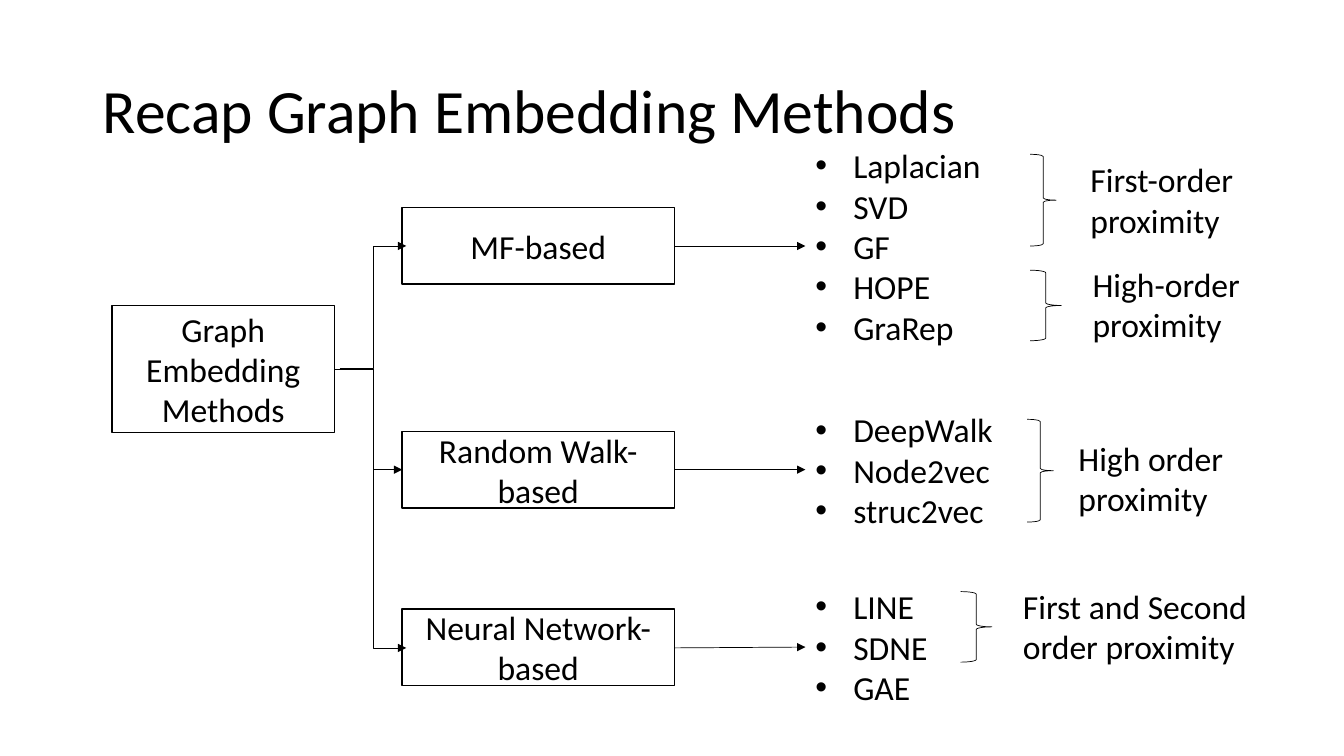
from lxml.etree import SubElement
from pptx import Presentation
from pptx.dml.color import RGBColor
from pptx.enum.shapes import MSO_CONNECTOR as LINK, MSO_SHAPE as SHAPE
from pptx.enum.text import MSO_ANCHOR as ANCHOR, MSO_AUTO_SIZE as AUTO, PP_ALIGN as ALIGN
from pptx.oxml.ns import qn
from pptx.util import Pt

COLORS = {"ink": "000000", "paper": "FFFFFF"}
INK, PAPER = (RGBColor.from_string(COLORS[key]) for key in ("ink", "paper"))


def write(shape, lines, align=ALIGN.LEFT, anchor=ANCHOR.MIDDLE, size=24, spacing=1, bullets=False):
    frame = shape.text_frame
    frame.text = "\n".join(lines)
    for name, value in {"word_wrap": True, "auto_size": AUTO.NONE, "vertical_anchor": anchor}.items():
        setattr(frame, name, value)
    for paragraph in frame.paragraphs:
        layout = {"alignment": align, "line_spacing": spacing, "space_before": Pt(0)}
        for name, value in layout.items():
            setattr(paragraph, name, value)
        if bullets:
            props = paragraph._p.get_or_add_pPr()
            props.set("marL", str(Pt(27)))
            props.set("indent", str(-Pt(27)))
            SubElement(props, qn("a:buFont")).set("typeface", "Arial")
            SubElement(props, qn("a:buChar")).set("char", "•")
        font = paragraph.runs[0].font
        for name, value in {"name": "Calibri", "size": Pt(size), "bold": False}.items():
            setattr(font, name, value)
        font.color.rgb = INK


def draw_arrow(kind, start, end, bend=None):
    """Add a thin arrow; bend is the elbow's share of the width."""
    arrow = slide.shapes.add_connector(kind, *map(Pt, start + end))
    arrow.line.color.rgb = INK
    arrow.line.width = Pt(0.5)
    SubElement(arrow.line._get_or_add_ln(), qn("a:tailEnd")).set("type", "triangle")
    props = arrow._element.spPr
    SubElement(props, qn("a:effectLst"))
    if bend:
        guide = SubElement(props.find(qn("a:prstGeom")).find(qn("a:avLst")), qn("a:gd"))
        guide.set("name", "adj1")
        guide.set("fmla", f"val {round(bend * 100000)}")


deck = Presentation()
deck.slide_width, deck.slide_height = Pt(960), Pt(540)
slide = deck.slides.add_slide(deck.slide_layouts[4])

title = slide.shapes.title
title.left, title.top, title.width, title.height = map(Pt, (66.2, 28.8, 828, 104.4))
write(title, ["Recap Graph Embedding Methods"], size=44, spacing=0.9)

# Method lists: top, height, entries
method_lists = [
    (96.5, 158.4, ["Laplacian", "SVD", "GF", "HOPE", "GraRep"]),
    (283.7, 103.7, ["DeepWalk", "Node2vec", "struc2vec"]),
    (405.4, 113, ["LINE", "SDNE", "GAE"]),
]
*list_holders, spare = [holder for holder in slide.placeholders if holder.placeholder_format.idx]
for holder, (top, height, entries) in zip(list_holders, method_lists):
    holder.left, holder.top, holder.width, holder.height = map(Pt, (575.3, top, 144, height))
    holder.fill.solid()
    holder.fill.fore_color.rgb = PAPER
    write(holder, entries, bullets=True)
spare._element.getparent().remove(spare._element)

# Boxes of the tree
FAMILY_LEFT, FAMILY_WIDTH, FAMILY_HEIGHT = 287.3, 194.4, 54.7
boxes = [("Graph Embedding Methods", 79.9, 218.2, 159.1, 90.7)]
for family, top in (("MF-based", 148.3), ("Random Walk-based", 308.2), ("Neural Network-based", 434.9)):
    boxes.append((family, FAMILY_LEFT, top, FAMILY_WIDTH, FAMILY_HEIGHT))
for label, *place in boxes:
    box = slide.shapes.add_shape(SHAPE.RECTANGLE, *map(Pt, place))
    box.shadow.inherit = False
    box.fill.solid()
    box.fill.fore_color.rgb = PAPER
    box.line.color.rgb = INK
    box.line.width = Pt(1)
    write(box, [label], align=ALIGN.CENTER)

# Branches from the root to each family, then on to its methods
ROOT_MIDDLE = 263.5
for start, end, middle, list_middle, bend in (
    (242.6, 290.2, 175.7, 175.7, 0.5),
    (239, 287.3, 335.5, 335.5, 0.57),
    (242.6, 290.2, 462.8, 462.2, 0.5),
):
    draw_arrow(LINK.ELBOW, (start, ROOT_MIDDLE), (end, middle), bend)
    draw_arrow(LINK.STRAIGHT, (FAMILY_LEFT + FAMILY_WIDTH, middle), (575.3, list_middle))

# Braces and the proximity each group keeps
for proximity, brace_place, label_place in (
    ("First-order proximity", (735.8, 110.2, 18.7, 65.5), (771.8, 110.2, 150.5)),
    ("High-order proximity", (735.8, 193, 22.3, 50.4), (773.3, 185, 150.5)),
    ("High order proximity", (733.7, 299.5, 18.7, 73.4), (763.2, 308.9, 187.9)),
    ("First and Second order proximity", (686.2, 422.6, 22.3, 50.4), (723.6, 414.7, 187.9)),
):
    brace = slide.shapes.add_shape(SHAPE.RIGHT_BRACE, *map(Pt, brace_place))
    brace.shadow.inherit = False
    brace.fill.background()
    brace.line.color.rgb = INK
    brace.line.width = Pt(0.5)
    label = slide.shapes.add_textbox(*map(Pt, label_place + (65.5,)))
    write(label, [proximity], anchor=ANCHOR.TOP)

deck.save("out.pptx")
